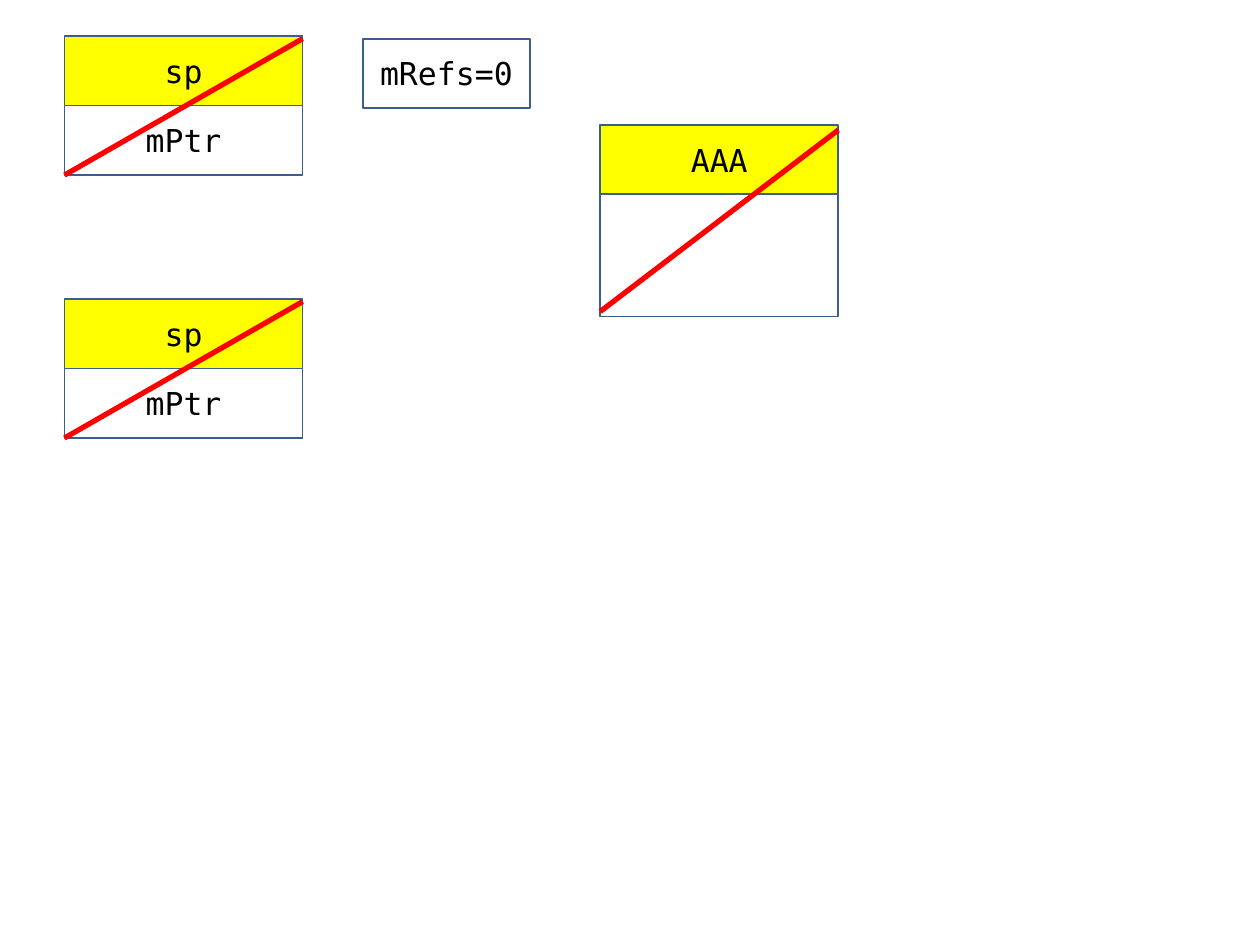
from pptx import Presentation
from pptx.dml.color import RGBColor
from pptx.enum.shapes import MSO_CONNECTOR as Connector, MSO_SHAPE as Shape
from pptx.enum.text import MSO_ANCHOR as Anchor, PP_ALIGN as Align
from pptx.oxml.xmlchemy import OxmlElement
from pptx.util import Cm, Pt

YELLOW = RGBColor(0xFF, 0xFF, 0x00)
WHITE = RGBColor(0xFF, 0xFF, 0xFF)
BLACK = RGBColor(0x00, 0x00, 0x00)
BLUE = RGBColor(0x3A, 0x5F, 0x8C)
RED = RGBColor(0xFF, 0x00, 0x00)

ROW_HEIGHT = 1.4
OBJECT_WIDTH = 4.8


class Diagram:
    """Draws memory objects on one page; all lengths are in centimetres."""

    font_name = "DejaVu Sans Mono"
    font_size = Pt(18)

    def __init__(self, page):
        self.page = page

    def cell(self, left, top, width, height, fill, text=""):
        box = self.page.shapes.add_shape(
            Shape.RECTANGLE, Cm(left), Cm(top), Cm(width), Cm(height))
        box.shadow.inherit = False
        box.fill.solid()
        box.fill.fore_color.rgb = fill
        box.line.color.rgb = BLUE
        box.line.width = Pt(1)
        if text:
            frame = box.text_frame
            frame.word_wrap = True
            frame.vertical_anchor = Anchor.MIDDLE
            paragraph = frame.paragraphs[0]
            paragraph.text = text
            paragraph.alignment = Align.CENTER
            paragraph.font.name = self.font_name
            paragraph.font.size = self.font_size
            paragraph.font.color.rgb = BLACK

    def strike(self, left, top, right, bottom):
        line = self.page.shapes.add_connector(
            Connector.STRAIGHT, Cm(right), Cm(top), Cm(left), Cm(bottom))
        line.line.color.rgb = RED
        line.line.width = Pt(3)
        line._element.spPr.append(OxmlElement("a:effectLst"))

    def destroyed_object(self, left, top, name, body_height, body="",
                         inset_top=0.0, inset_bottom=0.0):
        """A named header over a body, crossed out from corner to corner."""
        body_top = top + ROW_HEIGHT
        self.cell(left, top, OBJECT_WIDTH, ROW_HEIGHT, YELLOW, name)
        self.cell(left, body_top, OBJECT_WIDTH, body_height, WHITE, body)
        self.strike(left, top + inset_top, left + OBJECT_WIDTH,
                    body_top + body_height - inset_bottom)


def main():
    deck = Presentation()
    deck.slide_width, deck.slide_height = Cm(25.4), Cm(19.05)
    diagram = Diagram(deck.slides.add_slide(deck.slide_layouts[6]))

    # Managed object
    diagram.destroyed_object(12.1, 2.52, "AAA", 2.46,
                             inset_top=0.1, inset_bottom=0.1)

    # Smart pointers
    for top in (0.73, 6.03):
        diagram.destroyed_object(1.3, top, "sp", ROW_HEIGHT, "mPtr",
                                 inset_top=0.05)

    # Reference counter
    diagram.cell(7.32, 0.78, 3.36, ROW_HEIGHT, WHITE, "mRefs=0")

    deck.save("out.pptx")


if __name__ == "__main__":
    main()
